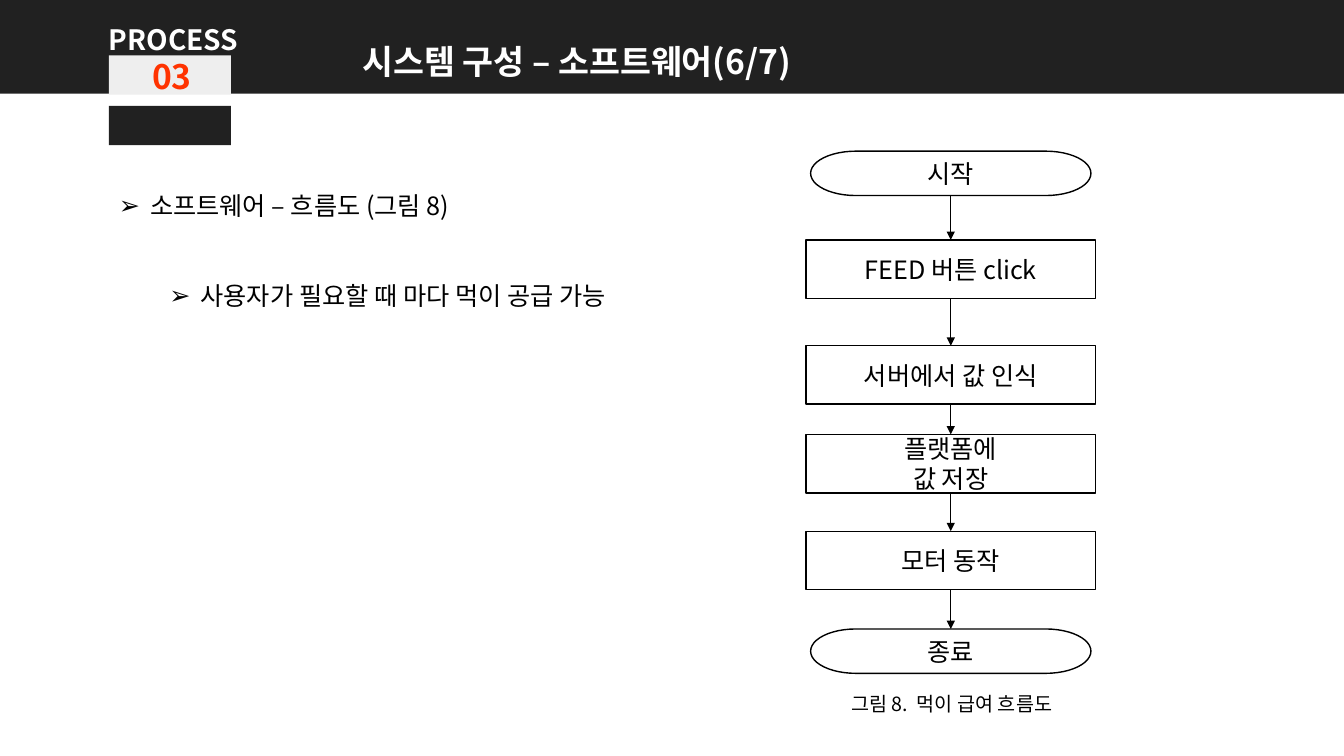
from lxml import etree
from pptx import Presentation
from pptx.dml.color import RGBColor
from pptx.enum.shapes import MSO_CONNECTOR, MSO_SHAPE
from pptx.enum.text import MSO_ANCHOR, MSO_AUTO_SIZE, PP_ALIGN
from pptx.oxml.ns import qn
from pptx.util import Inches, Pt

RECT = MSO_SHAPE.RECTANGLE
STEP = MSO_SHAPE.FLOWCHART_PROCESS
END = MSO_SHAPE.FLOWCHART_TERMINATOR
LINE = MSO_CONNECTOR.STRAIGHT
LEFT, MID = PP_ALIGN.LEFT, PP_ALIGN.CENTER
TOP, CENTER = MSO_ANCHOR.TOP, MSO_ANCHOR.MIDDLE
FIXED = MSO_AUTO_SIZE.NONE

FONT = "Noto Sans CJK KR"
COLORS = {"dark": "212121", "pale": "EEEEEE", "white": "FFFFFF",
          "red": "FF3300", "black": "000000"}

TITLE = "시스템 구성 – 소프트웨어(6/7)"
POINTS = [("소프트웨어 – 흐름도 (그림 8)", 0, 0.31, 0),
          ("사용자가 필요할 때 마다 먹이 공급 가능", 1, 0.81, 32)]
LABELS = [
    ("PROCESS", (0.98, 0.01, 1.42, 0.54), 20, "white", True, LEFT, 1.5, False),
    ("03", (1.41, 0.51, 0.59, 0.5), 24, "red", True, LEFT, 1, False),
    ("그림 8.  먹이 급여 흐름도", (6.67, 6.82, 5.54, 0.34), 14, "black", False,
     MID, 1, True),
]
BLOCKS = [("pale", 0.55), ("dark", 1.05)]
FLOW = [(END, 1.5, ["시작"]), (STEP, 2.38, ["FEED 버튼 click"]),
        (STEP, 3.43, ["서버에서 값 인식"]), (STEP, 4.31, ["플랫폼에", "값 저장"]),
        (STEP, 5.27, ["모터 동작"]), (END, 6.24, ["종료"])]
SIZES = {END: (2.78, 0.44), STEP: (2.87, 0.58)}
AXIS = 9.43


def color(name):
    return RGBColor.from_string(COLORS[name])


def place(shape, box):
    shape.left, shape.top, shape.width, shape.height = map(Inches, box)


def write(shape, lines, size, tint="black", bold=False, align=MID,
          space=1, anchor=TOP, wrap=True):
    frame = shape.text_frame
    frame.text = "\n".join(lines)
    frame.auto_size = FIXED
    frame.word_wrap = wrap
    frame.vertical_anchor = anchor
    for para in frame.paragraphs:
        para.alignment = align
        para.line_spacing = space
        para.space_before = Pt(0)
        font = para.font
        font.size = Pt(size)
        font.bold = bold
        font.color.rgb = color(tint)
        font.name = FONT
    for props in shape.element.iter(qn("a:defRPr")):
        etree.SubElement(props, qn("a:ea"), typeface=FONT)


def block(kind, box, fill=None):
    shape = slide.shapes.add_shape(kind, *map(Inches, box))
    shape.shadow.inherit = False
    if fill:
        shape.fill.solid()
        shape.fill.fore_color.rgb = color(fill)
        shape.line.fill.background()
    else:
        shape.fill.background()
        shape.line.color.rgb = color("black")
        shape.line.width = Pt(1)
    return shape


def arrow(start, stop):
    link = slide.shapes.add_connector(LINE, 0, 0, 0, 0)
    link.begin_connect(start, 2)
    link.end_connect(stop, 0)
    link.line.color.rgb = color("black")
    link.line.width = Pt(0.5)
    etree.SubElement(link.line._get_or_add_ln(), qn("a:tailEnd"), type="triangle")
    etree.SubElement(link.element.spPr, qn("a:effectLst"))


deck = Presentation()
deck.slide_width, deck.slide_height = Inches(13.33), Inches(7.5)
slide = deck.slides.add_slide(deck.slide_layouts[1])

band = block(RECT, (0, 0, 13.33, 0.93), "dark")
slide.shapes.element.insert(2, band.element)

title = slide.shapes.title
place(title, (3.08, 0.16, 5.28, 0.63))
write(title, [TITLE], 24, "white", True, space=1.5)

for fill, top in BLOCKS:
    block(RECT, (1.08, top, 1.21, 0.39), fill)

for text, box, size, tint, bold, align, space, wrap in LABELS:
    label = slide.shapes.add_textbox(*map(Inches, box))
    write(label, [text], size, tint, bold, align, space, wrap=wrap)

body = slide.placeholders[1]
place(body, (1.08, 1.69, 5.79, 1.86))
write(body, [point[0] for point in POINTS], 18, align=LEFT, space=1.5)
for para, (text, level, indent, gap) in zip(body.text_frame.paragraphs, POINTS):
    para.level = level
    para.space_before = Pt(gap)
    props = para._p.get_or_add_pPr()
    props.set("marL", str(Inches(indent)))
    props.set("indent", str(Inches(-0.31)))
    mark = etree.Element(qn("a:buChar"), char="➢")
    props.find(qn("a:defRPr")).addprevious(mark)

nodes = []
for kind, top, lines in FLOW:
    width, height = SIZES[kind]
    node = block(kind, (AXIS - width / 2, top, width, height))
    write(node, lines, 18, anchor=CENTER)
    nodes.append(node)
for start, stop in zip(nodes, nodes[1:]):
    arrow(start, stop)

deck.save("out.pptx")
